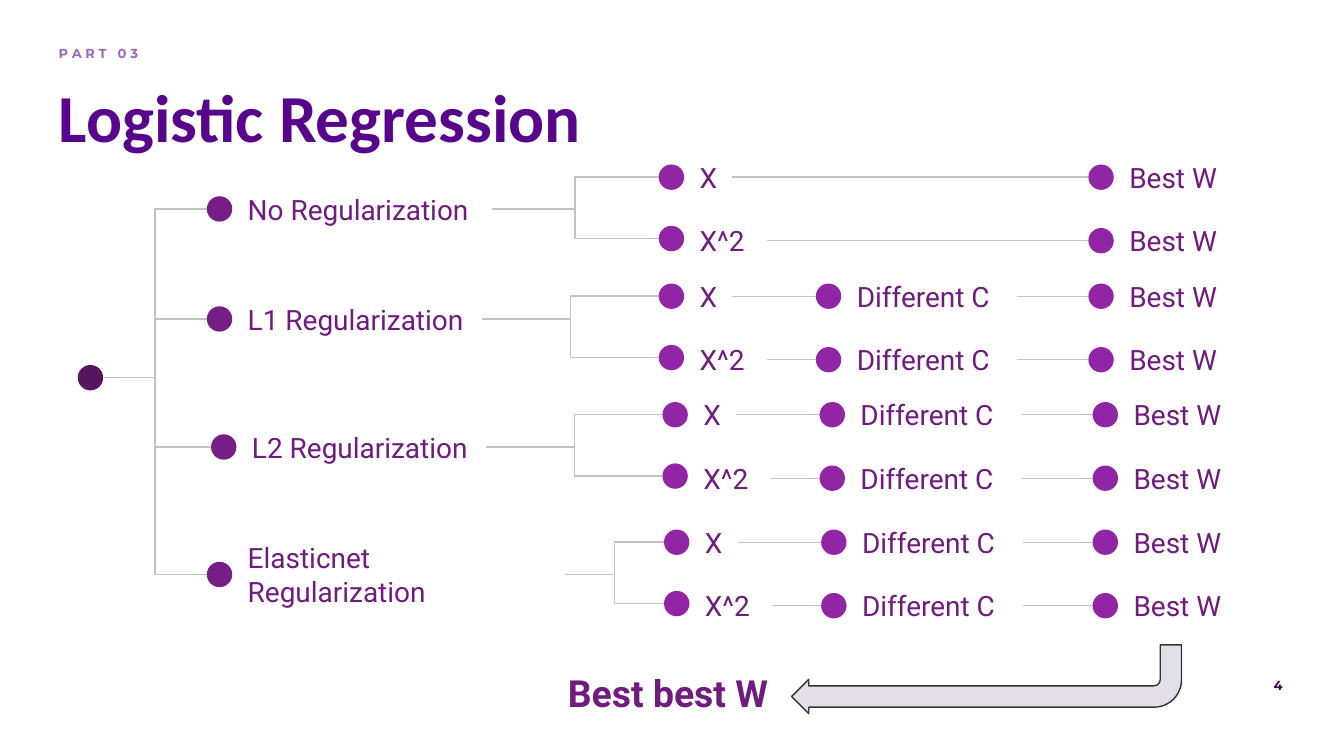
import pptx
import pptx.dml.color
import pptx.enum.shapes
import pptx.enum.text
import pptx.oxml.ns
import pptx.util
from lxml import etree
from pptx.util import Cm

COLORS = {
    "title": "57068C",
    "caption": "9A6ABA",
    "number": "330662",
    "label": "701C7F",
    "root": "551561",
    "branch": "761E86",
    "leaf": "9225A5",
    "line": "C2C2C2",
    "arrow": "E3DFE9",
    "outline": "333333",
}
SHAPES = pptx.enum.shapes.MSO_SHAPE
ALIGN = pptx.enum.text.PP_ALIGN
ANCHOR = pptx.enum.text.MSO_ANCHOR

# All distances below are in centimetres
DOT = 0.48
LABEL_HEIGHT = 0.89
ROOT_X, ROOT_Y = 1.47, 7.14
SPINE_X = 2.93
ROW_GAP = 1.2
DOT_GAP = 1.16
C_OFFSET = 2.97
WIDE_LABEL = 3.33
FEATURES = [("X", 0.91), ("X^2", 1.57)]

# Name, dot x, centre y, label width, feature x, first row y, result x, has C
BRANCHES = [
    ("No Regularization", 3.91, 3.95, 4.9, 12.45, 3.35, 20.57, False),
    ("L1 Regularization", 3.91, 6.03, 4.72, 12.45, 5.6, 20.57, True),
    ("L2 Regularization", 3.99, 8.45, 4.72, 12.52, 7.84, 20.65, True),
    ("Elasticnet Regularization", 3.91, 10.86, 6.28, 12.55, 10.25, 20.65, True),
]


def rgb(name):
    return pptx.dml.color.RGBColor.from_string(COLORS[name])


def write_text(shape, text, *, size, color, font="Roboto", bold=False,
               align=ALIGN.LEFT, anchor=ANCHOR.TOP):
    frame = shape.text_frame
    frame.word_wrap = True
    frame.auto_size = pptx.enum.text.MSO_AUTO_SIZE.NONE
    frame.vertical_anchor = anchor
    frame.margin_left = frame.margin_right = Cm(0.25)
    frame.margin_top = frame.margin_bottom = Cm(0.25)
    paragraph = frame.paragraphs[0]
    paragraph.alignment = align
    span = paragraph.add_run()
    span.text = text
    span.font.name = font
    span.font.size = pptx.util.Pt(size)
    span.font.bold = bold
    span.font.color.rgb = rgb(color)


def add_label(page, text, x, middle, width, size=15, bold=False):
    box = page.shapes.add_shape(
        SHAPES.ROUNDED_RECTANGLE, Cm(x), Cm(middle - LABEL_HEIGHT / 2),
        Cm(width), Cm(LABEL_HEIGHT))
    box.shadow.inherit = False
    box.fill.background()
    box.line.fill.background()
    write_text(box, text, size=size, color="label", bold=bold, anchor=ANCHOR.MIDDLE)


def add_dot(page, x, middle, color):
    dot = page.shapes.add_shape(
        SHAPES.OVAL, Cm(x), Cm(middle - DOT / 2), Cm(DOT), Cm(DOT))
    dot.shadow.inherit = False
    dot.fill.solid()
    dot.fill.fore_color.rgb = rgb(color)
    dot.line.fill.background()


def add_node(page, text, x, middle, width, color="leaf"):
    """Draw a dot with its label and return the x where the label ends."""
    add_dot(page, x, middle, color)
    add_label(page, text, x + DOT, middle, width)
    return x + DOT + width


def add_elbow(page, start, end, bend_x=None):
    line = page.shapes.add_connector(
        pptx.enum.shapes.MSO_CONNECTOR.ELBOW,
        Cm(start[0]), Cm(start[1]), Cm(end[0]), Cm(end[1]))
    line.line.color.rgb = rgb("line")
    line.line.width = pptx.util.Pt(0.75)
    properties = line._element.spPr
    etree.SubElement(properties, pptx.oxml.ns.qn("a:effectLst"))
    if bend_x is not None:
        share = round((bend_x - start[0]) / (end[0] - start[0]) * 100000)
        values = properties.find(".//" + pptx.oxml.ns.qn("a:avLst"))
        etree.SubElement(values, pptx.oxml.ns.qn("a:gd"),
                         name="adj1", fmla=f"val {share}")


def add_branch(page, name, x, middle, width, feature_x, top, result_x, has_c):
    add_elbow(page, (ROOT_X + DOT, ROOT_Y), (x, middle), SPINE_X)
    branch_end = add_node(page, name, x, middle, width, "branch")
    for index, (feature, feature_width) in enumerate(FEATURES):
        row = top + index * ROW_GAP
        dot_middle = top + index * DOT_GAP
        add_elbow(page, (branch_end, middle), (feature_x, dot_middle))
        add_dot(page, feature_x, dot_middle, "leaf")
        add_label(page, feature, feature_x + DOT, row, feature_width)
        end = feature_x + DOT + feature_width
        if has_c:
            c_x = feature_x + C_OFFSET
            add_elbow(page, (end, row), (c_x, row))
            end = add_node(page, "Different C", c_x, row, WIDE_LABEL)
        add_elbow(page, (end, row), (result_x, row))
        add_node(page, "Best W", result_x, row, WIDE_LABEL)


def add_headings(page):
    title = page.shapes.title
    title.left, title.top, title.width, title.height = (
        Cm(0.86), Cm(1.17), Cm(23.39), Cm(1.6))
    write_text(title, "Logistic Regression", size=36, color="title",
               font="Calibri", bold=True)
    caption = page.shapes.add_textbox(Cm(0.86), Cm(0.61), Cm(6.76), Cm(0.86))
    write_text(caption, "P A R T   0 3", size=7, color="caption",
               font="Montserrat", bold=True)
    number = page.shapes.add_textbox(Cm(12.83), Cm(12.55), Cm(11.66), Cm(0.86))
    write_text(number, "4", size=7, color="number", font="Montserrat",
               bold=True, align=ALIGN.RIGHT)


def add_return_arrow(page):
    arrow = page.shapes.add_shape(
        SHAPES.BENT_ARROW, Cm(14.96), Cm(12.19), Cm(7.37), Cm(1.3))
    arrow.rotation = 180
    arrow.shadow.inherit = False
    for index, value in enumerate((0.31, 0.25, 0.25, 0.4)):
        arrow.adjustments[index] = value
    arrow.fill.solid()
    arrow.fill.fore_color.rgb = rgb("arrow")
    arrow.line.color.rgb = rgb("outline")
    arrow.line.width = pptx.util.Pt(0.75)


def main():
    deck = pptx.Presentation()
    deck.slide_width, deck.slide_height = Cm(25.4), Cm(14.29)
    page = deck.slides.add_slide(deck.slide_layouts[5])
    add_headings(page)

    # Tree of models
    add_dot(page, ROOT_X, ROOT_Y, "root")
    for branch in BRANCHES:
        add_branch(page, *branch)

    # Final choice
    add_label(page, "Best best W", 10.44, 13.1, 4.52, size=20, bold=True)
    add_return_arrow(page)
    deck.save("out.pptx")


if __name__ == "__main__":
    main()
